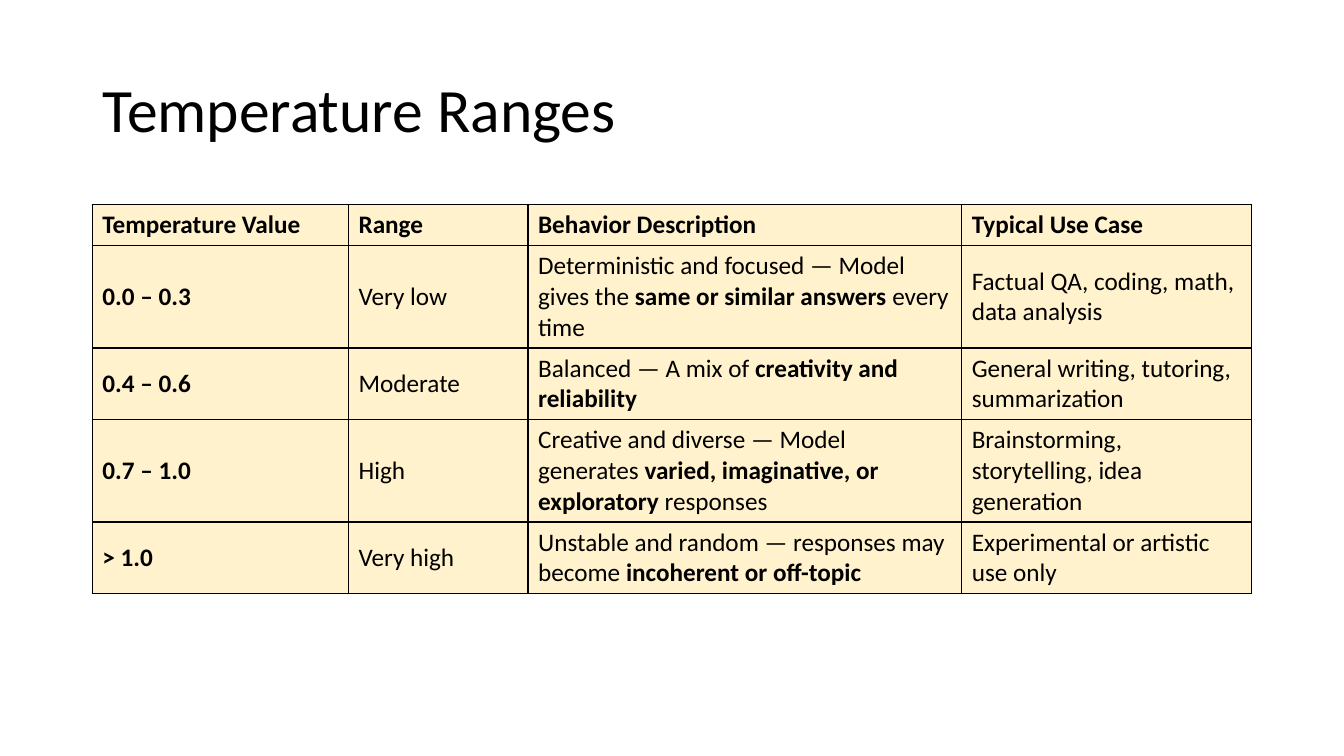
"""Build the Temperature Ranges slide with its table of values and use cases."""
from typing import NamedTuple

from lxml import etree
from pptx import Presentation
from pptx import util as u
from pptx.dml.color import RGBColor
from pptx.enum import text
from pptx.oxml.ns import qn

PX = 9525
BLACK = RGBColor(0x00, 0x00, 0x00)
CREAM = RGBColor(0xFF, 0xF2, 0xCC)
FONT = "Calibri"
LEFT, WIDTH = 88, 1104
TITLE_TOP, TITLE_HEIGHT = 38, 139
TABLE_TOP = 195
COLUMN_WIDTHS = (244, 171, 413, 276)
LINE_HEIGHT, CELL_PADDING = 29, 10


class Run(NamedTuple):
    text: str
    bold: bool = False


class Row(NamedTuple):
    lines: int
    cells: tuple[tuple[Run, ...], ...]


def px(n: int) -> u.Emu:
    return u.Emu(n * PX)


def temperature_row(lines: int, value: str, level: str,
                    behavior: tuple[Run, ...], use_case: str) -> Row:
    return Row(lines, ((Run(value, True),), (Run(level),), behavior, (Run(use_case),)))


HEADINGS = ("Temperature Value", "Range", "Behavior Description", "Typical Use Case")
ROWS = (
    Row(1, tuple((Run(heading, True),) for heading in HEADINGS)),
    temperature_row(3, "0.0 – 0.3", "Very low",
                    (Run("Deterministic and focused — Model gives the "),
                     Run("same or similar answers", True), Run(" every time")),
                    "Factual QA, coding, math, data analysis"),
    temperature_row(2, "0.4 – 0.6", "Moderate",
                    (Run("Balanced — A mix of "), Run("creativity and reliability", True)),
                    "General writing, tutoring, summarization"),
    temperature_row(3, "0.7 – 1.0", "High",
                    (Run("Creative and diverse — Model generates "),
                     Run("varied, imaginative, or exploratory", True), Run(" responses")),
                    "Brainstorming, storytelling, idea generation"),
    temperature_row(2, "> 1.0", "Very high",
                    (Run("Unstable and random — responses may become "),
                     Run("incoherent or off-topic", True)),
                    "Experimental or artistic use only"),
)


def add_run(p, run: Run, size: int) -> None:
    r = p.add_run()
    r.text = run.text
    r.font.name = FONT
    r.font.size = u.Pt(size)
    r.font.bold = run.bold
    r.font.color.rgb = BLACK


def add_borders(cell) -> None:
    tc_pr = cell._tc.get_or_add_tcPr()
    for side in ("a:lnL", "a:lnR", "a:lnT", "a:lnB"):
        ln = etree.SubElement(tc_pr, qn(side), w=str(u.Pt(1)))
        fill = etree.SubElement(ln, qn("a:solidFill"))
        etree.SubElement(fill, qn("a:srgbClr"), val=str(BLACK))


def fill_cell(cell, runs: tuple[Run, ...]) -> None:
    add_borders(cell)
    cell.fill.solid()
    cell.fill.fore_color.rgb = CREAM
    cell.vertical_anchor = text.MSO_ANCHOR.MIDDLE
    p = cell.text_frame.paragraphs[0]
    for run in runs:
        add_run(p, run, 18)


def add_title(s) -> None:
    sp = s.shapes.title
    sp.left, sp.top = px(LEFT), px(TITLE_TOP)
    sp.width, sp.height = px(WIDTH), px(TITLE_HEIGHT)
    tf = sp.text_frame
    tf.auto_size = text.MSO_AUTO_SIZE.NONE
    tf.vertical_anchor = text.MSO_ANCHOR.MIDDLE
    p = tf.paragraphs[0]
    p.alignment = text.PP_ALIGN.LEFT
    p.line_spacing = 0.9
    add_run(p, Run("Temperature Ranges"), 44)


def add_ranges_table(s) -> None:
    heights = [CELL_PADDING + LINE_HEIGHT * row.lines for row in ROWS]
    table = s.shapes.add_table(len(ROWS), len(COLUMN_WIDTHS), px(LEFT), px(TABLE_TOP),
                               px(WIDTH), px(sum(heights))).table
    table.first_row = True
    table.horz_banding = False
    for column, width in zip(table.columns, COLUMN_WIDTHS):
        column.width = px(width)
    for table_row, row, height in zip(table.rows, ROWS, heights):
        table_row.height = px(height)
        for cell, runs in zip(table_row.cells, row.cells):
            fill_cell(cell, runs)


def main() -> None:
    prs = Presentation()
    prs.slide_width, prs.slide_height = px(1280), px(720)
    s = prs.slides.add_slide(prs.slide_layouts.get_by_name("Title Only"))
    add_title(s)
    add_ranges_table(s)
    prs.save("out.pptx")


if __name__ == "__main__":
    main()
